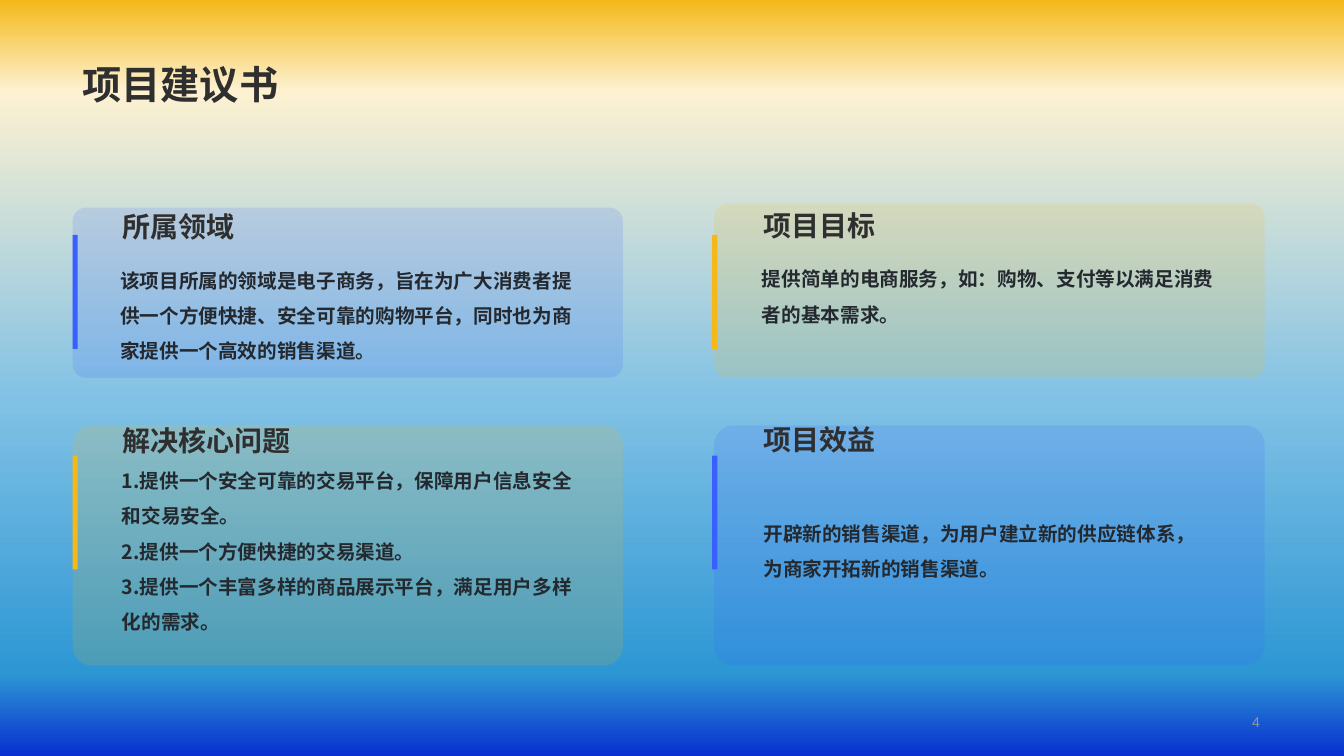
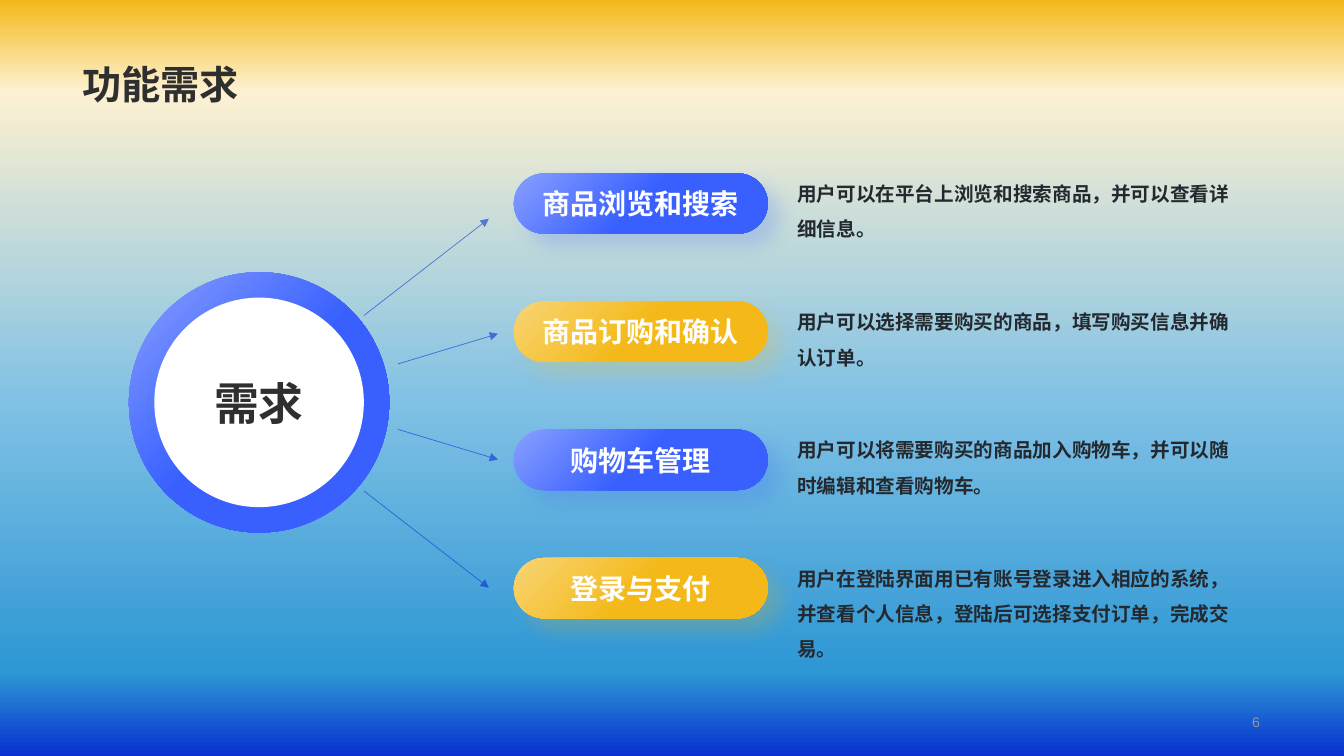
import copy

import lxml.etree
import pptx
import pptx.dml.color
import pptx.enum.lang
import pptx.enum.shapes
import pptx.enum.text
import pptx.oxml.ns
import pptx.util

Cm = pptx.util.Cm
qn = pptx.oxml.ns.qn
rgb = pptx.dml.color.RGBColor.from_string
PRESET = pptx.enum.shapes.MSO_SHAPE
ALIGN = pptx.enum.text.PP_ALIGN
ANCHOR = pptx.enum.text.MSO_ANCHOR

COLORS = {
    "blue": "3960FF", "light_blue": "88A0FF", "deep_blue": "0830D0",
    "yellow": "F4B919", "light_yellow": "F8D575", "cream": "FDF1D1",
    "sky": "81C1E5", "sea": "2D97D4", "white": "FFFFFF",
    "ink": "2F2F2F", "body": "24292F", "gray": "979797",
}
CJK_FONT = "Noto Sans CJK SC"


def add_text(shape, text, size, color="ink", font="Arial", bold=True, align=ALIGN.LEFT,
             anchor=ANCHOR.TOP, spacing=1.0, insets=(0.25, 0.13, 0.25, 0.13)):
    """Write one paragraph per line of text; insets are left, top, right, bottom in cm."""
    frame = shape.text_frame
    frame.word_wrap = True
    frame.vertical_anchor = anchor
    frame.margin_left, frame.margin_top, frame.margin_right, frame.margin_bottom = map(Cm, insets)
    for index, line in enumerate(text.split("\n")):
        paragraph = frame.add_paragraph() if index else frame.paragraphs[0]
        paragraph.alignment = align
        paragraph.line_spacing = spacing
        run = paragraph.add_run()
        run.text = line
        run.font.size = pptx.util.Pt(size)
        run.font.bold = bold
        run.font.name = font
        run.font.color.rgb = rgb(COLORS[color])
        run.font.language_id = pptx.enum.lang.MSO_LANGUAGE_ID.SIMPLIFIED_CHINESE
        east_asian = lxml.etree.Element(qn("a:ea"), typeface=CJK_FONT)
        run.font._element.find(qn("a:latin")).addnext(east_asian)


def add_shape(slide, preset, box, color, light_color=None, opacity=100):
    """Add a shape without outline; a light colour makes the fill a diagonal gradient."""
    shape = slide.shapes.add_shape(preset, *map(Cm, box))
    shape.shadow.inherit = False
    shape.line.fill.background()
    if light_color:
        shape.fill.gradient()
        shape.fill.gradient_angle = 315
        stops = shape.fill.gradient_stops
        for stop, name, position in zip(stops, (light_color, color), (0, 0.5)):
            stop.color.rgb = rgb(COLORS[name])
            stop.position = position
    else:
        shape.fill.solid()
        shape.fill.fore_color.rgb = rgb(COLORS[color])
    if opacity < 100:
        fill_color = shape._element.spPr.find(qn("a:solidFill"))[0]
        lxml.etree.SubElement(fill_color, qn("a:alpha"), val=str(opacity * 1000))
    return shape


presentation = pptx.Presentation()
presentation.slide_width = Cm(33.87)
presentation.slide_height = Cm(19.05)

# Shared background
background_stops = [("yellow", 0), ("cream", 0.12), ("sky", 0.53), ("sea", 0.89), ("deep_blue", 1)]
background = presentation.slide_master.background.fill
background.gradient()
background.gradient_angle = 270
stop_list = presentation.slide_master._element.find(".//" + qn("p:bgPr")).find(".//" + qn("a:gsLst"))
while len(stop_list) < len(background_stops):
    stop_list.append(copy.deepcopy(stop_list[0]))
for stop, (name, position) in zip(background.gradient_stops, background_stops):
    stop.color.rgb = rgb(COLORS[name])
    stop.position = position

# Shared title and page number
slides = []
for title, number in [("项目建议书", "4"), ("功能需求", "6")]:
    slide = presentation.slides.add_slide(presentation.slide_layouts[6])
    title_box = slide.shapes.add_textbox(Cm(1.83), Cm(0), Cm(30.18), Cm(2.84))
    add_text(title_box, title, 28, anchor=ANCHOR.BOTTOM, spacing=0.9)
    number_box = slide.shapes.add_textbox(Cm(24.61), Cm(17.88), Cm(7.39), Cm(0.61))
    add_text(number_box, number, 10, color="gray", bold=False, align=ALIGN.RIGHT, anchor=ANCHOR.MIDDLE)
    slides.append(slide)
proposal_slide, requirements_slide = slides

# Proposal: left, top, height, bar left, bar top, heading top, top and bottom inset, colour, texts
cards = [
    (1.83, 5.23, 4.29, 1.83, 5.92, 5.16, 1, 0.13, "blue", "所属领域",
     "该项目所属的领域是电子商务，旨在为广大消费者提供一个方便快捷、安全可靠的购物平台，"
     "同时也为商家提供一个高效的销售渠道。"),
    (18, 5.13, 4.39, 17.95, 5.92, 5.13, 0.5, 0.5, "yellow", "项目目标",
     "提供简单的电商服务，如：购物、支付等以满足消费者的基本需求。"),
    (1.83, 10.72, 6.05, 1.83, 11.48, 10.54, 0.5, 0.5, "yellow", "解决核心问题",
     "1.提供一个安全可靠的交易平台，保障用户信息安全和交易安全。\n"
     "2.提供一个方便快捷的交易渠道。\n"
     "3.提供一个丰富多样的商品展示平台，满足用户多样化的需求。"),
    (18, 10.72, 6.05, 17.95, 11.48, 10.52, 0.5, 0.5, "blue", "项目效益",
     "开辟新的销售渠道，为用户建立新的供应链体系，为商家开拓新的销售渠道。"),
]
for (left, top, height, bar_left, bar_top, heading_top,
     top_inset, bottom_inset, color, heading, text) in cards:
    card = add_shape(proposal_slide, PRESET.ROUNDED_RECTANGLE, (left, top, 13.87, height), color, opacity=15)
    card.adjustments[0] = 0.08
    add_text(card, text, 14, color="body", font=CJK_FONT, anchor=ANCHOR.MIDDLE, spacing=1.5,
             insets=(1.1, top_inset, 1.1, bottom_inset))
    add_shape(proposal_slide, PRESET.RECTANGLE, (bar_left, bar_top, 0.13, 2.87), color)
    heading_box = proposal_slide.shapes.add_textbox(Cm(left + 1), Cm(heading_top), Cm(7.14), Cm(1.12))
    add_text(heading_box, heading, 20)

# Requirements: ring in the centre of the arrows
add_shape(requirements_slide, PRESET.OVAL, (3.25, 6.86, 6.56, 6.56), "blue", "light_blue")
hub = add_shape(requirements_slide, PRESET.OVAL, (3.89, 7.5, 5.28, 5.28), "white")
add_text(hub, "需求", 32, align=ALIGN.CENTER, anchor=ANCHOR.MIDDLE, insets=(0.3, 0.3, 0.3, 0.3))

arrows = [
    (9.17, 7.95, 12.32, 5.51),
    (10.03, 9.17, 12.55, 8.41),
    (10.03, 10.82, 12.55, 11.58),
    (9.17, 12.37, 12.32, 14.81),
]
for ends in arrows:
    arrow = requirements_slide.shapes.add_connector(
        pptx.enum.shapes.MSO_CONNECTOR.STRAIGHT, *map(Cm, ends))
    arrow.line.width = pptx.util.Pt(0.5)
    arrow.line.color.rgb = rgb(COLORS["deep_blue"])
    properties = arrow._element.spPr
    line = properties.find(qn("a:ln"))
    lxml.etree.SubElement(line.find(qn("a:solidFill"))[0], qn("a:alpha"), val="60000")
    lxml.etree.SubElement(line, qn("a:tailEnd"), type="triangle")
    lxml.etree.SubElement(properties, qn("a:effectLst"))

# Requirements: pills with descriptions
functions = [
    ("商品浏览和搜索", "用户可以在平台上浏览和搜索商品，并可以查看详细信息。", 2.29),
    ("商品订购和确认", "用户可以选择需要购买的商品，填写购买信息并确认订单。", 2.29),
    ("购物车管理", "用户可以将需要购买的商品加入购物车，并可以随时编辑和查看购物车。", 2.29),
    ("登录与支付",
     "用户在登陆界面用已有账号登录进入相应的系统，并查看个人信息，登陆后可选择支付订单，完成交易。", 3.18),
]
for index, (name, description, height) in enumerate(functions):
    top = 4.37 + index * 3.23
    color = ("blue", "yellow")[index % 2]
    pill = add_shape(requirements_slide, PRESET.ROUNDED_RECTANGLE, (12.95, top, 6.4, 1.52),
                     color, "light_" + color)
    pill.adjustments[0] = 0.5
    shadow = lxml.etree.SubElement(
        pill._element.spPr.find(qn("a:effectLst")), qn("a:outerShdw"),
        blurRad=str(pptx.util.Pt(14)), dist=str(pptx.util.Pt(12)),
        dir="2700000", algn="tl", rotWithShape="0")
    shadow_color = lxml.etree.SubElement(shadow, qn("a:srgbClr"), val=COLORS[color])
    lxml.etree.SubElement(shadow_color, qn("a:alpha"), val="20000")
    add_text(pill, name, 20, color="white", align=ALIGN.CENTER, anchor=ANCHOR.MIDDLE, insets=(0, 0, 0, 0))
    description_box = requirements_slide.shapes.add_textbox(Cm(19.79), Cm(top - 0.38), Cm(11.94), Cm(height))
    add_text(description_box, description, 14, color="body", font=CJK_FONT, spacing=1.5,
             insets=(0.3, 0.3, 0.3, 0.3))

presentation.save("out.pptx")
